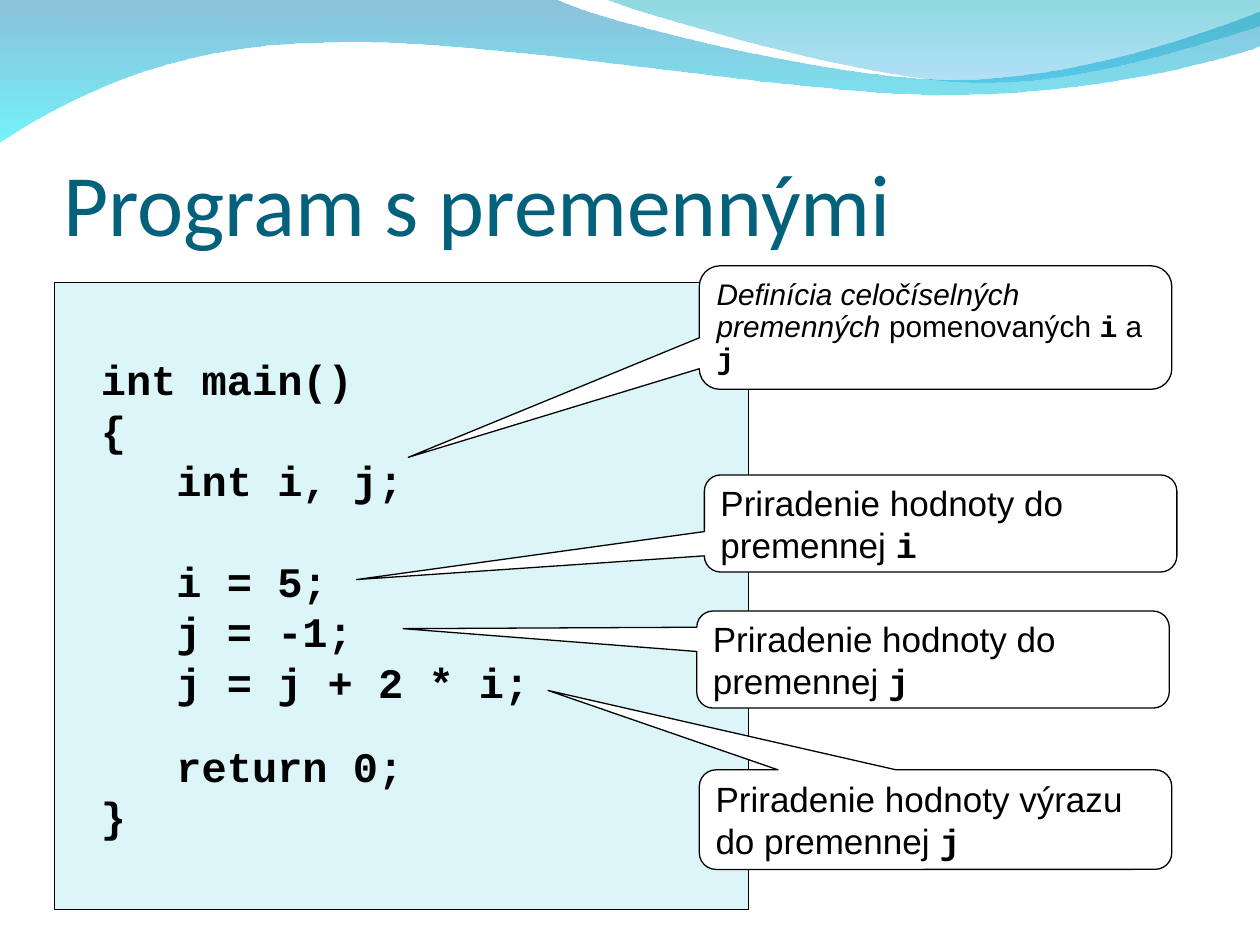
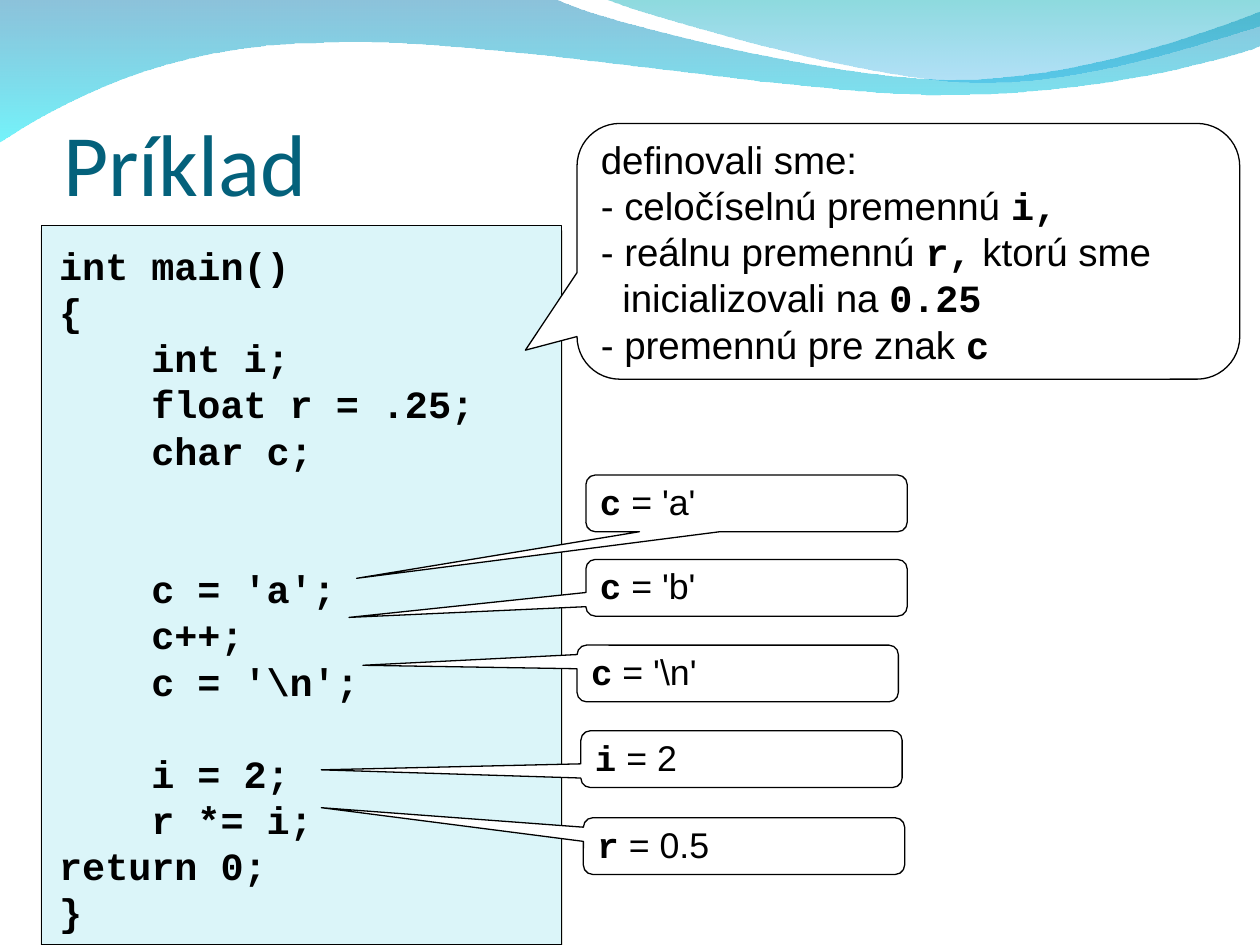
from lxml import etree
from pptx import Presentation
from pptx import util as u
from pptx.dml.color import RGBColor
from pptx.enum import shapes, text
from pptx.oxml.ns import qn

INK, PAPER, CODE_FILL, TITLE_COLOUR = "000000", "FFFFFF", "DBF5F9", "04617B"
SANS, MONO, TITLE_FONT = "Arial", "Courier New", "Calibri"
LINE_FACTOR = 1.2  # line pitch relative to the text size
TITLE_ONLY = 5

# A wave is a start point, then lines (one point) and curves (three points).
LONG_WAVE = [
    [(0, -0.01)],
    [(4.4, -0.01)],
    [(4.76, 0.17), (6.64, 0.63), (7.58, 0.63)],
    [(8.53, 0.63), (9.58, 0.26), (10, 0.09)],
    [(10.01, 0.36)],
    [(9.83, 0.44), (8.7, 0.76), (7.46, 0.75)],
    [(6.22, 0.75), (3.82, 0.28), (2.57, 0.34)],
    [(1.29, 0.35), (0.46, 0.83), (-0.01, 1.13)],
    [(0, -0.01)],
]
SHORT_WAVE = [
    [(4.79, -0.01)],
    [(5.09, 0.11), (6.82, 0.62), (7.69, 0.65)],
    [(8.56, 0.69), (9.61, 0.32), (10, 0.21)],
    [(10, 0)],
    [(4.79, -0.01)],
]

MAIN_PROGRAM = """int main()
{
   int i, j;

   i = 5;
   j = -1;
   j = j + 2 * i;

   return 0;
}"""

EXAMPLE_PROGRAM = r"""int main()
{
    int i;
    float r = .25;
    char c;


    c = 'a';
    c++;
    c = '\n';

    i = 2;
    r *= i;
return 0;
}"""


def rgb(colour):
    return RGBColor.from_string(colour)


def bend_segments(outline, segments):
    """Turn each run of three straight steps that stands for a curve into one."""
    steps = iter(list(outline.element.iter(qn("a:lnTo"))))
    for segment in segments:
        first, *others = [next(steps) for _ in segment]
        if others:
            first.tag = qn("a:cubicBezTo")
        for other in others:
            first.append(other[0])
            other.getparent().remove(other)


def add_wave(page, segments, stops, layer):
    """Draw a gradient band and move it to the master, so every slide shows it."""
    start, *rest = [(u.Inches(x), u.Inches(y)) for part in segments for x, y in part]
    builder = page.shapes.build_freeform(*start)
    builder.add_line_segments(rest, close=True)
    wave = builder.convert_to_shape()
    bend_segments(wave, segments[1:])
    wave.shadow.inherit = False
    wave.line.fill.background()
    wave.fill.gradient()
    wave.fill.gradient_angle = 270
    for stop, (colour, _) in zip(wave.fill.gradient_stops, stops):
        stop.color.rgb = rgb(colour)
    for node, (_, opacity) in zip(wave.element.iter(qn("a:srgbClr")), stops):
        etree.SubElement(node, qn("a:alpha")).set("val", str(opacity * 1000))
    tree = page.slide_layout.slide_master.shapes.element
    tree.insert(2 + layer, wave.element)


def set_insets(frame, left, top, right, bottom):
    frame.margin_left, frame.margin_top = u.Inches(left), u.Inches(top)
    frame.margin_right, frame.margin_bottom = u.Inches(right), u.Inches(bottom)


def set_font(span, name, size, colour=INK, bold=False, italic=False):
    font = span.font
    font.name, font.size, font.bold, font.italic = name, u.Pt(size), bold, italic
    font.color.rgb = rgb(colour)


def set_title(page, words, height):
    title = page.shapes.title
    title.left, title.top = u.Inches(0.5), u.Inches(0.77)
    title.width, title.height = u.Inches(9), u.Inches(height)
    frame = title.text_frame
    frame.text = words
    frame.word_wrap = True
    frame.auto_size = text.MSO_AUTO_SIZE.NONE
    frame.vertical_anchor = text.MSO_ANCHOR.BOTTOM
    set_insets(frame, 0, 0.05, 0, 0)
    para = frame.paragraphs[0]
    para.alignment = text.PP_ALIGN.LEFT
    set_font(para.runs[0], TITLE_FONT, 50, TITLE_COLOUR)


def add_panel(page, kind, left, top, width, height, fill):
    panel = page.shapes.add_shape(kind, *map(u.Inches, (left, top, width, height)))
    panel.shadow.inherit = False
    panel.fill.solid()
    panel.fill.fore_color.rgb = rgb(fill)
    panel.line.color.rgb = rgb(INK)
    panel.line.width = u.Pt(0.75)
    return panel


def add_shadow(panel, colour, opacity, distance):
    effects = panel.element.spPr.find(qn("a:effectLst"))
    shadow = etree.SubElement(effects, qn("a:outerShdw"), blurRad="0",
                              dist=str(u.Pt(distance)), dir="5400000", rotWithShape="0")
    shade = etree.SubElement(shadow, qn("a:srgbClr"), val=colour)
    etree.SubElement(shade, qn("a:alpha"), val=str(opacity * 1000))


def add_code(page, left, top, width, height, size, program):
    """Write a program; its empty lines become space before the next line."""
    box = page.shapes.add_textbox(*map(u.Inches, (left, top, width, height)))
    frame = box.text_frame
    frame.word_wrap = True
    set_insets(frame, 0.09, 0.05, 0.09, 0.05)
    lines = program.split("\n")
    frame.text = "\n".join(filter(None, lines))
    pitch = size * LINE_FACTOR
    paragraphs = iter(frame.paragraphs)
    empty = 0
    for line in lines:
        if not line:
            empty += 1
            continue
        para = next(paragraphs)
        para.line_spacing = u.Pt(pitch)
        if empty:
            para.space_before = u.Pt(empty * pitch)
        empty = 0
        set_font(para.runs[0], MONO, size, bold=True)
    return frame


def add_callout(page, place, tip, size, lines, spacing=1.0):
    """Add a speech bubble; each line is a list of (words, style) spans."""
    left, top, width, height = place
    kind = shapes.MSO_SHAPE.ROUNDED_RECTANGULAR_CALLOUT
    bubble = add_panel(page, kind, *place, PAPER)
    bubble.adjustments[0] = (tip[0] - left) / width - 0.5
    bubble.adjustments[1] = (tip[1] - top) / height - 0.5
    bubble.adjustments[2] = 0.167
    frame = bubble.text_frame
    frame.word_wrap = True
    frame.vertical_anchor = text.MSO_ANCHOR.MIDDLE
    set_insets(frame, 0.09, 0.05, 0.09, 0.05)
    for number, spans in enumerate(lines):
        para = frame.add_paragraph() if number else frame.paragraphs[0]
        para.alignment = text.PP_ALIGN.LEFT
        para.line_spacing = u.Pt(round(size * LINE_FACTOR * spacing, 1))
        for words, style in spans:
            span = para.add_run()
            span.text = words
            is_code = style == "code"
            set_font(span, MONO if is_code else SANS, size,
                     bold=is_code, italic=style == "italic")
    return frame


def build_variables_slide(page):
    set_title(page, "Program s premennými", 1.25)
    add_panel(page, shapes.MSO_SHAPE.RECTANGLE, 0.43, 2.24, 5.51, 4.98, CODE_FILL)
    code = add_code(page, 0.71, 2.76, 5.32, 3.97, 24, MAIN_PROGRAM)
    return_line = code.paragraphs[-2]
    return_line.space_before = u.Pt(16 * LINE_FACTOR)

    definition = [("Definícia celočíselných premenných ", "italic"),
                  ("pomenovaných ", "plain"), ("i", "code"),
                  (" a ", "plain"), ("j", "code")]
    add_callout(page, (5.55, 2.11, 3.75, 0.98), (3.24, 3.63), 17, [definition], 0.9)
    assignments = [
        ((5.59, 3.77, 3.75, 0.77), (2.83, 4.6), "Priradenie hodnoty do premennej ", "i"),
        ((5.55, 6.11, 3.75, 0.79), (4.35, 5.48),
         "Priradenie hodnoty výrazu do premennej ", "j"),
        ((5.53, 4.85, 3.75, 0.77), (3.2, 4.99), "Priradenie hodnoty do premennej ", "j"),
    ]
    for place, tip, words, variable in assignments:
        add_callout(page, place, tip, 20, [[(words, "plain"), (variable, "code")]])


def build_example_slide(page):
    set_title(page, "Príklad", 0.93)
    panel = add_panel(page, shapes.MSO_SHAPE.RECTANGLE, 0.33, 1.79, 4.13, 5.71, CODE_FILL)
    add_shadow(panel, "343F11", 48, 3)
    add_code(page, 0.38, 1.87, 3.6, 5.59, 22, EXAMPLE_PROGRAM)

    definitions = [
        [("definovali sme:", "plain")],
        [("- celočíselnú premennú ", "plain"), ("i,", "code")],
        [("- reálnu premennú ", "plain"), ("r,", "code"), (" ktorú sme", "plain")],
        [("inicializovali na ", "plain"), ("0.25", "code")],
        [("- premennú pre znak ", "plain"), ("c", "code")],
    ]
    frame = add_callout(page, (4.58, 0.98, 5.26, 2.03), (4.17, 2.78), 22, definitions)
    continuation = frame.paragraphs[3]
    continuation._p.get_or_add_pPr().set("marL", str(u.Inches(0.17)))

    values = [
        (4.65, 3.77, (2.83, 4.59), "c", " = 'a'"),
        (4.65, 4.44, (2.77, 4.9), "c", " = 'b'"),
        (4.58, 5.12, (2.88, 5.28), "c", r" = '\n'"),
        (4.61, 5.8, (2.55, 6.11), "i", " = 2"),
        (4.63, 6.49, (2.55, 6.41), "r", " = 0.5"),
    ]
    for left, top, tip, variable, value in values:
        add_callout(page, (left, top, 2.55, 0.45), tip, 20.4,
                    [[(variable, "code"), (value, "plain")]], 0.9)


def main():
    deck = Presentation()
    deck.slide_width, deck.slide_height = u.Inches(10), u.Inches(7.5)
    layout = deck.slide_layouts[TITLE_ONLY]
    variables, example = (deck.slides.add_slide(layout) for _ in range(2))
    waves = [
        (LONG_WAVE, [("0079AF", 45), ("00EBF8", 55)]),
        (SHORT_WAVE, [("00ADB6", 45), ("009BE5", 30)]),
    ]
    for layer, (segments, stops) in enumerate(waves):
        add_wave(variables, segments, stops, layer)
    build_variables_slide(variables)
    build_example_slide(example)
    deck.save("out.pptx")


if __name__ == "__main__":
    main()
